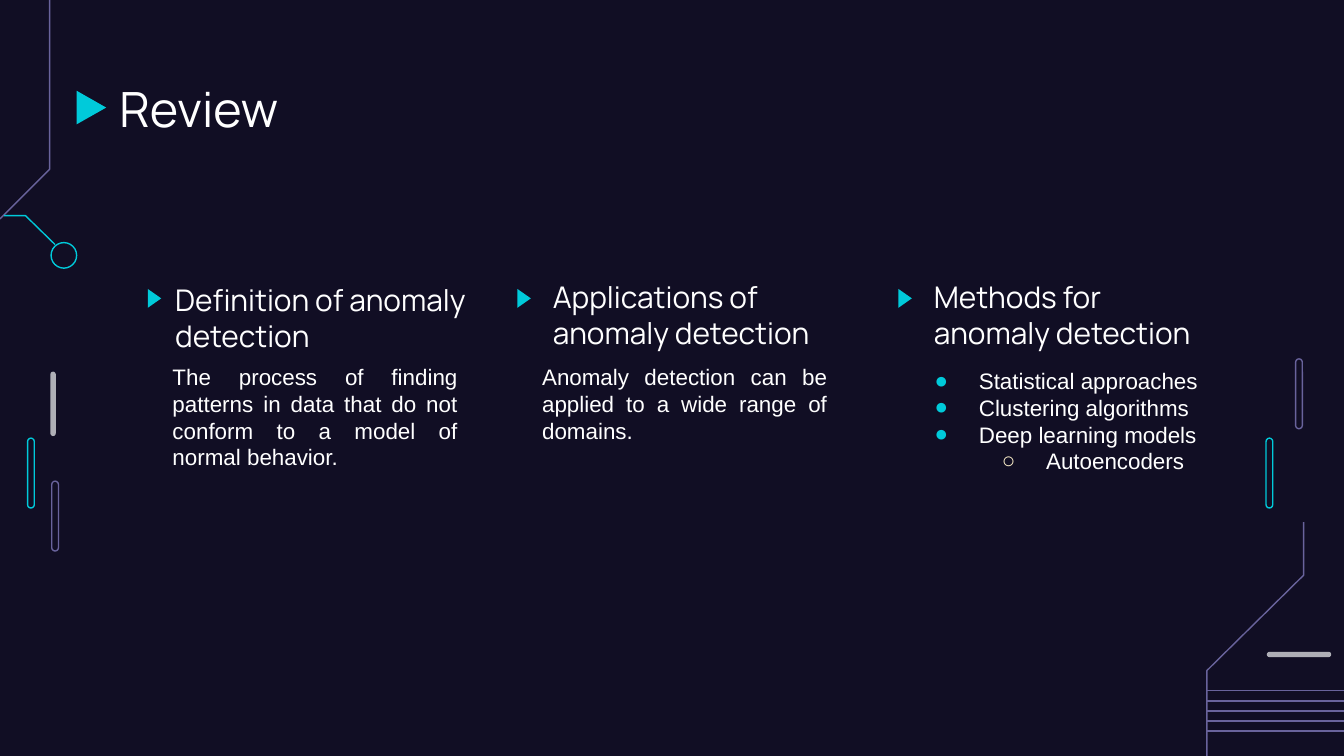
from lxml.etree import SubElement
from pptx import Presentation
from pptx.dml.color import RGBColor
from pptx.enum.shapes import MSO_CONNECTOR, MSO_SHAPE
from pptx.enum.text import MSO_ANCHOR, PP_ALIGN
from pptx.oxml.ns import qn
from pptx.util import Inches, Pt

COLS, ROWS = 100, 56.25
CELL = Inches(0.1)
HUES = {
    "night": "110E24",
    "cyan": "00CADA",
    "violet": "69639C",
    "grey": "AFAFB6",
    "white": "FFFFFF",
    "cream": "FFF2CC",
}


def grid(*marks):
    return [round(mark * CELL) for mark in marks]


def tint(name):
    return RGBColor.from_string(HUES[name])


def style(shape, fill=None, line=None):
    shape.shadow.inherit = False
    if fill:
        shape.fill.solid()
        shape.fill.fore_color.rgb = tint(fill)
    else:
        shape.fill.background()
    if line:
        shape.line.color.rgb = tint(line)
        shape.line.width = Pt(0.75)
    else:
        shape.line.fill.background()


def add_form(slide, kind, box, fill=None, line=None):
    shape = slide.shapes.add_shape(kind, *grid(*box))
    style(shape, fill, line)
    return shape


def add_pill(slide, box, fill=None, line=None):
    pill = add_form(slide, MSO_SHAPE.ROUNDED_RECTANGLE, box, fill, line)
    pill.adjustments[0] = 0.5


def add_arrow(slide, box):
    arrow = add_form(slide, MSO_SHAPE.FLOWCHART_MERGE, box, "cyan")
    arrow.rotation = 270


def add_trace(slide, points, line):
    first, *rest = [grid(*point) for point in points]
    pen = slide.shapes.build_freeform(*first)
    pen.add_line_segments(rest, close=False)
    style(pen.convert_to_shape(), line=line)


def add_rule(slide, left, right, row):
    ends = grid(right, row, left, row)
    rule = slide.shapes.add_connector(MSO_CONNECTOR.STRAIGHT, *ends)
    rule.line.color.rgb = tint("violet")
    rule.line.width = Pt(0.75)
    SubElement(rule._element.spPr, qn("a:effectLst"))


def add_text(slide, box, lines, size, font, anchor=MSO_ANCHOR.TOP):
    frame = slide.shapes.add_textbox(*grid(*box)).text_frame
    frame.text = "\n".join(lines)
    frame.word_wrap = True
    frame.vertical_anchor = anchor
    frame.margin_left = frame.margin_right = CELL
    frame.margin_top = frame.margin_bottom = CELL
    for para in frame.paragraphs:
        for run in para.runs:
            run.font.size = Pt(size)
            run.font.name = font
            run.font.color.rgb = tint("white")
    return frame.paragraphs


def add_body(slide, box, lines):
    paras = add_text(slide, box, lines, 12, "Arial")
    for para in paras:
        para.alignment = PP_ALIGN.JUSTIFY
    return paras


def add_dot(para, level):
    para.level = level
    props = para._p.get_or_add_pPr()
    props.set("marL", str(Inches(0.5 * (level + 1))))
    props.set("indent", str(-Inches(0.33)))
    hue = SubElement(props, qn("a:buClr"))
    SubElement(hue, qn("a:srgbClr"), val=HUES[("cyan", "cream")[level]])
    SubElement(props, qn("a:buFont"), typeface="Arial")
    SubElement(props, qn("a:buChar"), char="●○"[level])


def add_decor(slide):
    for left, top, line in (
        (94.2, 32.6, "cyan"),
        (96.4, 26.7, "violet"),
        (2.05, 32.6, "cyan"),
        (3.85, 35.8, "violet"),
    ):
        add_pill(slide, (left, top, 0.5, 5.2), line=line)
    add_pill(slide, (94.25, 48.5, 4.8, 0.4), fill="grey")
    add_pill(slide, (3.75, 27.65, 0.4, 4.8), fill="grey")

    add_trace(slide, [(3.7, 0), (3.7, 12.6), (0, 16.3)], "violet")
    add_trace(slide, [(4.1, 18.2), (1.9, 16.05), (0.3, 16.05)], "cyan")
    add_form(slide, MSO_SHAPE.OVAL, (3.8, 18.05, 1.9, 1.9), line="cyan")
    bend = [(97, 38.85), (97, 42.8), (89.8, 49.9), (89.8, ROWS)]
    add_trace(slide, bend, "violet")
    for step in range(5):
        add_rule(slide, 89.8, COLS, 51.4 + 0.75 * step)


def main():
    deck = Presentation()
    deck.slide_width, deck.slide_height = grid(COLS, ROWS)
    slide = deck.slides.add_slide(deck.slide_layouts[6])
    slide.background.fill.solid()
    slide.background.fill.fore_color.rgb = tint("night")

    add_decor(slide)
    add_arrow(slide, (5.55, 6.9, 2.5, 2.2))
    add_text(slide, (7.9, 4.9, 84.3, 6.3), ["Review"], 26, "Manrope")

    for left, box, head in (
        (10.8, (12.05, 20.5, 24.3, 6.8), "Definition of anomaly detection"),
        (38.3, (40.15, 20.8, 26.1, 6.3), "Applications of anomaly detection"),
        (66.65, (68.5, 20.8, 23.2, 6.3), "Methods for anomaly detection"),
    ):
        add_arrow(slide, (left, 21.7, 1.4, 1))
        add_text(slide, box, [head], 16, "Manrope", MSO_ANCHOR.BOTTOM)

    notes = (
        "The process of finding patterns in data that do not conform "
        "to a model of normal behavior.",
        "Anomaly detection can be applied to a wide range of domains.",
    )
    for col, note in enumerate(notes):
        add_body(slide, (11.85 + 27.5 * col, 26, 23.2, 10.1), [note])

    items = (
        ("Statistical approaches", 0),
        ("Clustering algorithms", 0),
        ("Deep learning models", 0),
        ("Autoencoders", 1),
    )
    paras = add_body(slide, (66.85, 26.3, 28.1, 10.1), [name for name, _ in items])
    for para, (_, level) in zip(paras, items):
        add_dot(para, level)

    deck.save("out.pptx")


if __name__ == "__main__":
    main()
